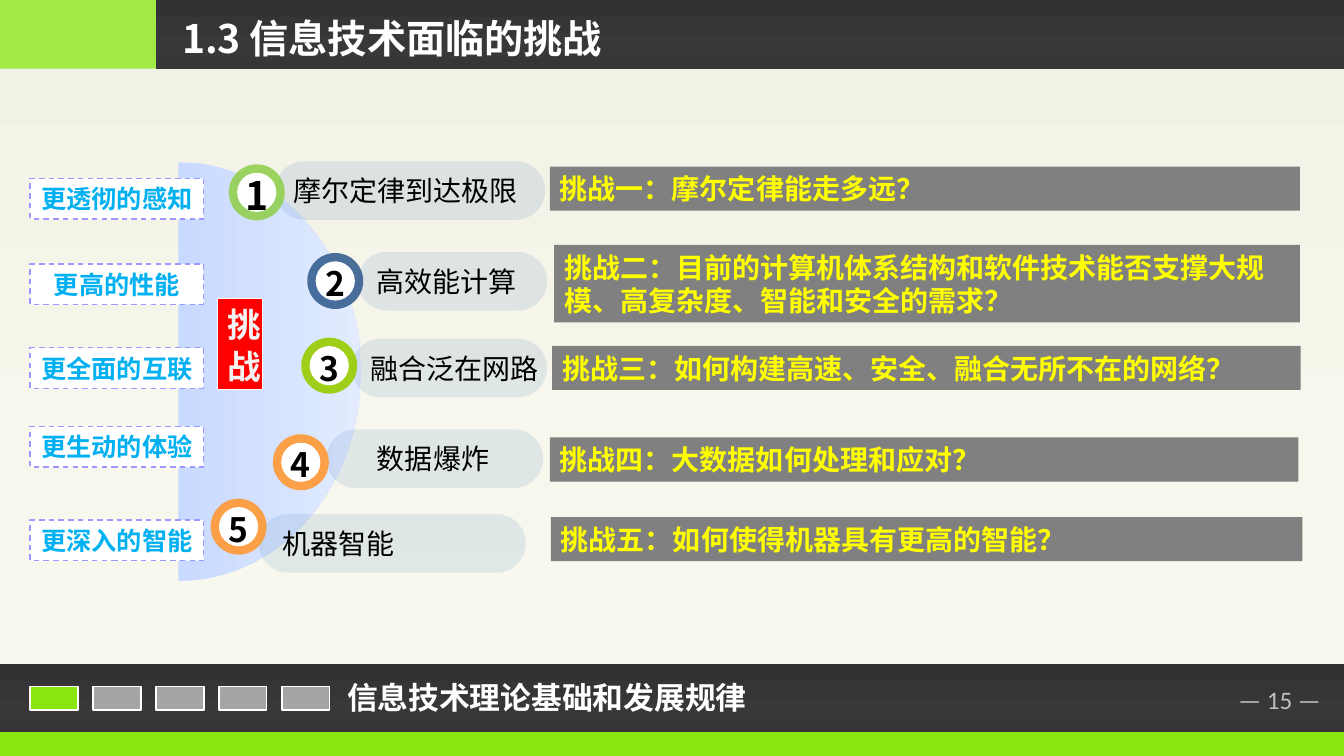
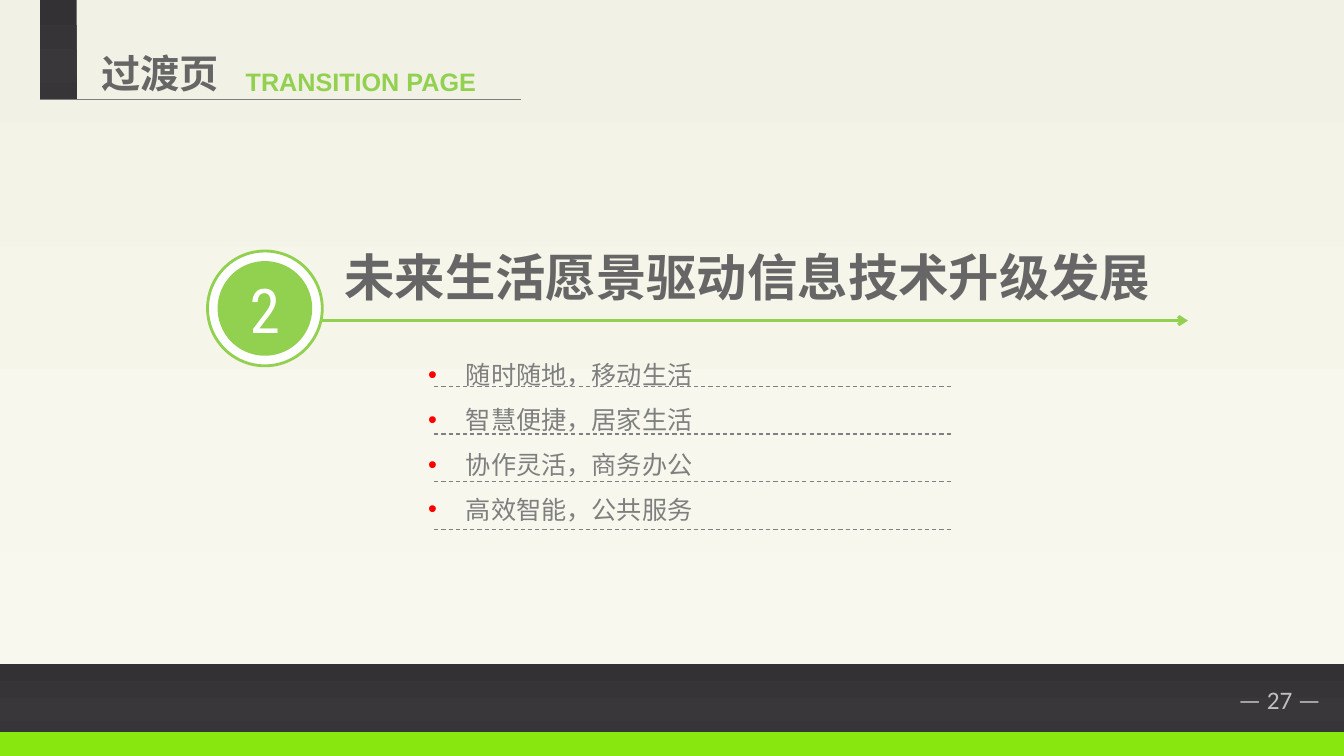
from math import cos, pi, sin

from lxml.etree import SubElement
from pptx import Presentation
from pptx.dml.color import RGBColor
from pptx.enum.dml import MSO_LINE
from pptx.enum.shapes import MSO_CONNECTOR, MSO_SHAPE
from pptx.enum.text import MSO_ANCHOR, PP_ALIGN
from pptx.oxml.ns import qn
from pptx.util import Pt

WHITE = RGBColor(0xFF, 0xFF, 0xFF)
BLACK = RGBColor(0x00, 0x00, 0x00)
LIME = RGBColor(0x88, 0xE7, 0x0F)
GREEN = RGBColor(0x92, 0xD0, 0x50)
OLIVE = RGBColor(0x99, 0xCC, 0x00)
NAVY = RGBColor(0x37, 0x60, 0x92)
ORANGE = RGBColor(0xFF, 0x99, 0x33)
STEEL = RGBColor(0x4F, 0x81, 0xBD)
SKY = RGBColor(0x00, 0xB0, 0xF0)
LILAC = RGBColor(0x99, 0x99, 0xFF)
RED = RGBColor(0xFF, 0x00, 0x00)
YELLOW = RGBColor(0xFF, 0xFF, 0x00)
OFF_WHITE = RGBColor(0xF2, 0xF2, 0xF2)
SILVER = RGBColor(0xBF, 0xBF, 0xBF)
SWATCH_GRAY = RGBColor(0xA5, 0xA5, 0xA5)
GRAY = RGBColor(0x80, 0x80, 0x80)
TEXT_GRAY = RGBColor(0x7F, 0x7F, 0x7F)
HEADING_GRAY = RGBColor(0x66, 0x66, 0x66)

# Gradients: (position in percent, colour)
PAPER = [(0, "F1F1E5"), (74, "F7F7ED"), (83, "F8F8EE"), (100, "F9F9EF")]
DARK = [(0, "333134"), (74, "39373A"), (83, "373538"), (100, "363436")]
PALE_BLUE = [(0, "C8DAFF"), (100, "E2EBFF")]

CHINESE_FONT = "Noto Sans CJK SC"


def paint(shape, fill, opacity=100, line=None, width=1, angle=270):
    """Fill with a colour or a list of gradient stops; outline only if line is given."""
    shape.shadow.inherit = False
    if isinstance(fill, list):
        shape.fill.gradient()
        shape.fill.gradient_angle = angle
        stops = shape._element.spPr.find(qn("a:gradFill")).find(qn("a:gsLst"))
        for stop in list(stops):
            stops.remove(stop)
        for position, color in fill:
            stop = SubElement(stops, qn("a:gs"), pos=str(position * 1000))
            SubElement(stop, qn("a:srgbClr"), val=color)
    else:
        shape.fill.solid()
        shape.fill.fore_color.rgb = fill
        if opacity < 100:
            color = shape._element.spPr.find(qn("a:solidFill"))[0]
            SubElement(color, qn("a:alpha"), val=str(opacity * 1000))
    if line is None:
        shape.line.fill.background()
    else:
        shape.line.color.rgb = line
        shape.line.width = Pt(width)
    return shape


def write(shape, text, size, color, bold=True, align=PP_ALIGN.LEFT,
          font=CHINESE_FONT, wrap=True, line_height=None):
    """Put vertically centred text in a shape, one paragraph per line of text."""
    frame = shape.text_frame
    frame.text = text
    frame.word_wrap = wrap
    frame.vertical_anchor = MSO_ANCHOR.MIDDLE
    for paragraph in frame.paragraphs:
        paragraph.alignment = align
        if line_height:
            paragraph.line_spacing = Pt(line_height)
        paragraph.font.size = Pt(size)
        paragraph.font.bold = bold
        paragraph.font.color.rgb = color
        paragraph.font.name = font
        properties = paragraph._p.pPr.find(qn("a:defRPr"))
        SubElement(properties, qn("a:ea"), typeface=font)
    return frame


presentation = Presentation()
presentation.slide_width = Pt(960.48)
presentation.slide_height = Pt(540)

# Background, bands and page number of every slide
bands = [(0, 474.5, PAPER), (523, 17, LIME), (474.5, 48.5, DARK)]
slides = []
for page_number in (15, 27):
    slide = presentation.slides.add_slide(presentation.slide_layouts[6])
    for top, height, fill in bands:
        paint(slide.shapes.add_shape(MSO_SHAPE.RECTANGLE, 0, Pt(top),
                                     presentation.slide_width, Pt(height)), fill)
    number_box = slide.shapes.add_textbox(Pt(866), Pt(485), Pt(85), Pt(29))
    write(number_box, f"— {page_number} —", 18, SILVER, bold=False,
          align=PP_ALIGN.RIGHT, font="Calibri", wrap=False)
    slides.append(slide)
challenge_slide, transition_slide = slides

# Slide 1: title and footer
shapes = challenge_slide.shapes
paint(shapes.add_shape(MSO_SHAPE.RECTANGLE, 0, 0, Pt(111.6), Pt(49)), LIME, opacity=74)
paint(shapes.add_shape(MSO_SHAPE.RECTANGLE, Pt(111.6), 0, Pt(848.88), Pt(49)), DARK)
write(shapes.add_textbox(Pt(123), Pt(6.5), Pt(505), Pt(41)),
      "1.3 信息技术面临的挑战", 28, WHITE)
for index in range(5):
    swatch = shapes.add_shape(MSO_SHAPE.RECTANGLE, Pt(21.6 + 45 * index), Pt(490.3),
                              Pt(34), Pt(17))
    paint(swatch, LIME if index == 0 else SWATCH_GRAY, line=WHITE, width=1.2)
write(shapes.add_textbox(Pt(241), Pt(481), Pt(307.5), Pt(34)),
      "信息技术理论基础和发展规律", 22, WHITE)

# Slide 1: half disc behind the rows
center_x, center_y, radius_x, radius_y = 127.5, 265.5, 130.5, 149.5
arc = [(Pt(center_x + radius_x * sin(step * pi / 60)),
        Pt(center_y - radius_y * cos(step * pi / 60))) for step in range(61)]
builder = shapes.build_freeform(*arc[0], scale=1.0)
builder.add_line_segments(arc[1:], close=True)
paint(builder.convert_to_shape(), PALE_BLUE, angle=0)
challenge_tag = shapes.add_shape(MSO_SHAPE.RECTANGLE, Pt(155.5), Pt(213), Pt(32.4), Pt(65.5))
paint(challenge_tag, RED, line=WHITE, width=0.75)
write(challenge_tag, "挑战", 24, OFF_WHITE, line_height=30)

# Slide 1: goal (top, text), pill (left, top, width, text inset, text),
# ring (left, top, colour, digit size), bar (left, top, width, height, text)
rows = [
    ((127.4, "更透彻的感知"), (196.6, 115.2, 193, 7.2, "摩尔定律到达极限"),
     (163.5, 117.4, GREEN, 28), (393, 119, 536, 31.5, "挑战一：摩尔定律能走多远？")),
    ((188.5, "更高的性能"), (255.6, 180, 135.4, 7.2, "高效能计算"),
     (219.6, 180.7, NAVY, 24),
     (396, 175, 533, 55.4, "挑战二：目前的计算机体系结构和软件技术能否支撑大规模、高复杂度、智能和安全的需求？")),
    ((248.4, "更全面的互联"), (251.3, 242, 139.7, 7.2, "融合泛在网路"),
     (215.3, 241.2, OLIVE, 24),
     (394.6, 247, 535, 31.5, "挑战三：如何构建高速、安全、融合无所不在的网络？")),
    ((304.6, "更生动的体验"), (233.3, 306.7, 154.8, 30, "数据爆炸"),
     (195, 310.2, ORANGE, 24), (393, 312.5, 535, 31.5, "挑战四：大数据如何处理和应对？")),
    ((371.5, "更深入的智能"), (185, 367.2, 190.8, 11, "机器智能"),
     (150.5, 356.2, ORANGE, 24), (393.8, 369.4, 537, 31.5, "挑战五：如何使得机器具有更高的智能？")),
]
for number, (goal, pill, ring, bar) in enumerate(rows, start=1):
    top, text = goal
    goal_box = shapes.add_shape(MSO_SHAPE.RECTANGLE, Pt(21.6), Pt(top), Pt(124), Pt(29))
    paint(goal_box, WHITE, line=LILAC)
    goal_box.line.dash_style = MSO_LINE.DASH
    write(goal_box, text, 18, SKY, align=PP_ALIGN.CENTER)

    left, top, width, inset, text = pill
    pill_box = shapes.add_shape(MSO_SHAPE.ROUNDED_RECTANGLE, Pt(left), Pt(top),
                                Pt(width), Pt(41.8))
    pill_box.adjustments[0] = 0.5
    paint(pill_box, STEEL, opacity=14)
    write(pill_box, text, 20, BLACK, bold=False, wrap=False).margin_left = Pt(inset)

    left, top, color, size = ring
    paint(shapes.add_shape(MSO_SHAPE.OVAL, Pt(left), Pt(top), Pt(40), Pt(40)),
          color, opacity=90)
    disc = shapes.add_shape(MSO_SHAPE.OVAL, Pt(left + 6), Pt(top + 6), Pt(28), Pt(28))
    paint(disc, WHITE)
    frame = write(disc, str(number), size, BLACK, align=PP_ALIGN.CENTER, wrap=False)
    frame.margin_left = frame.margin_right = frame.margin_bottom = 0
    frame.margin_top = Pt(3)

    left, top, width, height, text = bar
    bar_box = shapes.add_shape(MSO_SHAPE.RECTANGLE, Pt(left), Pt(top), Pt(width), Pt(height))
    paint(bar_box, GRAY)
    write(bar_box, text, 20, YELLOW, line_height=24)

# Slide 2: heading
shapes = transition_slide.shapes
paint(shapes.add_shape(MSO_SHAPE.RECTANGLE, Pt(28.3), 0, Pt(26.6), Pt(71.3)), DARK)
write(shapes.add_textbox(Pt(65.5), Pt(31.7), Pt(114.5), Pt(41)), "过渡页", 28, HEADING_GRAY)
write(shapes.add_textbox(Pt(168.5), Pt(44), Pt(193), Pt(29)),
      "TRANSITION PAGE", 18, GREEN, font="Arial")

# Slide 2: chapter number, title and topics
paint(shapes.add_shape(MSO_SHAPE.OVAL, Pt(148.3), Pt(179.3), Pt(82), Pt(82)),
      WHITE, line=GREEN, width=2)
chapter_disc = shapes.add_shape(MSO_SHAPE.OVAL, Pt(155.5), Pt(186.5), Pt(67.6), Pt(67.6))
paint(chapter_disc, GREEN)
write(chapter_disc, "2", 44, WHITE, bold=False, align=PP_ALIGN.CENTER, font="Roboto Condensed")
write(shapes.add_textbox(Pt(239), Pt(172), Pt(609), Pt(51)),
      "未来生活愿景驱动信息技术升级发展", 36, HEADING_GRAY)

topics_box = shapes.add_textbox(Pt(298.8), Pt(249), Pt(381), Pt(130))
topics = "随时随地，移动生活\n智慧便捷，居家生活\n协作灵活，商务办公\n高效智能，公共服务"
topics_frame = topics_box.text_frame
topics_frame.text = topics
for paragraph in topics_frame.paragraphs:
    properties = paragraph._p.get_or_add_pPr()
    properties.set("marL", str(Pt(27)))
    properties.set("indent", str(-Pt(27)))
    bullet_color = SubElement(properties, qn("a:buClr"))
    SubElement(bullet_color, qn("a:srgbClr"), val=str(RED))
    SubElement(properties, qn("a:buFont"), typeface="Arial")
    SubElement(properties, qn("a:buChar"), char="•")
    paragraph.line_spacing = Pt(26)
    paragraph.font.size = Pt(18)
    paragraph.font.color.rgb = TEXT_GRAY
    paragraph.font.name = CHINESE_FONT
    SubElement(properties.find(qn("a:defRPr")), qn("a:ea"), typeface=CHINESE_FONT)
for paragraph in topics_frame.paragraphs[1:]:
    paragraph.space_before = Pt(6)
topics_frame.word_wrap = True

# Slide 2: rules (left, right, height on the slide, colour, width, dash, arrow)
rules = [(28.3, 372.2, 71.3, TEXT_GRAY, 0.75, None, False),
         (230.4, 849, 229, GREEN, 2.25, None, True)]
rules += [(310.3, 679.7, 276 + 34 * index, GRAY, 0.75, MSO_LINE.DASH, False)
          for index in range(4)]
for left, right, y, color, width, dash, arrow in rules:
    rule = shapes.add_connector(MSO_CONNECTOR.STRAIGHT, Pt(left), Pt(y), Pt(right), Pt(y))
    rule.line.color.rgb = color
    rule.line.width = Pt(width)
    if dash:
        rule.line.dash_style = dash
    if arrow:
        SubElement(rule.line._get_or_add_ln(), qn("a:tailEnd"), type="arrow")
    SubElement(rule._element.spPr, qn("a:effectLst"))

presentation.save("out.pptx")
